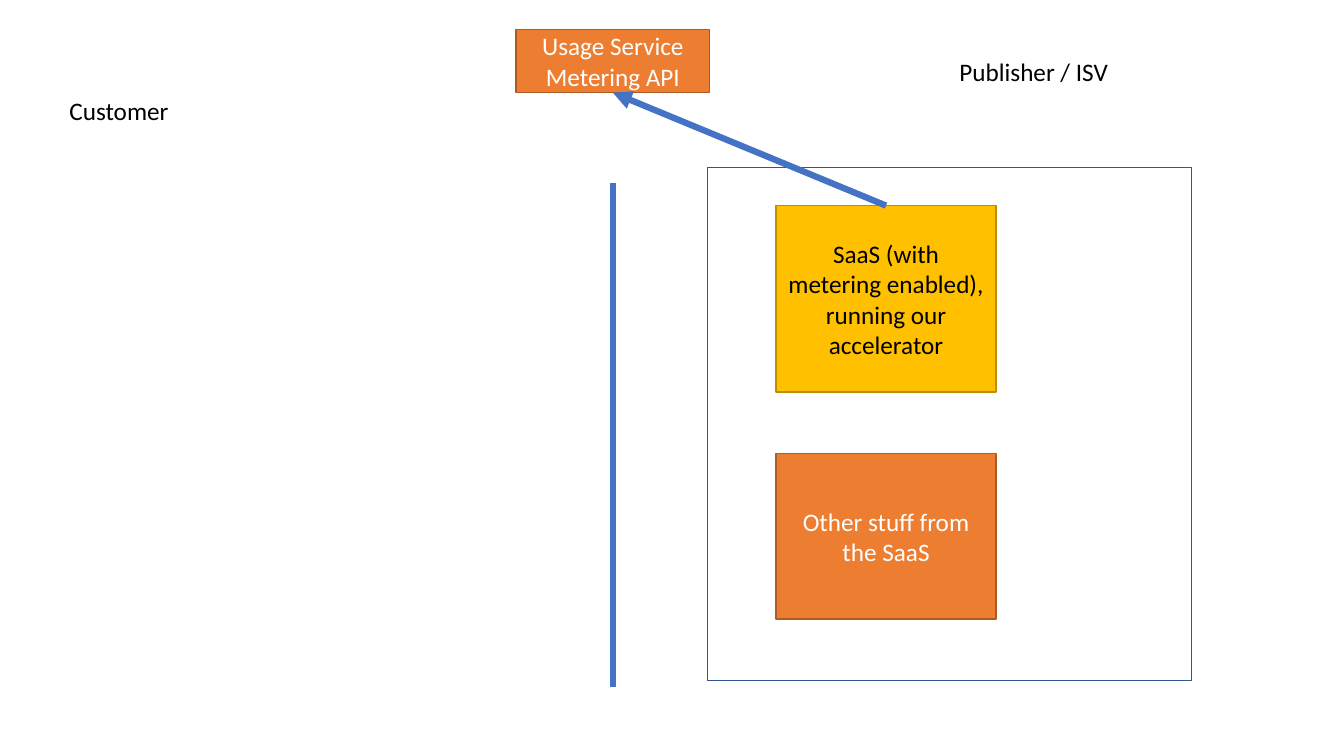
from dataclasses import dataclass

from lxml.etree import SubElement
from pptx import Presentation
from pptx.dml.color import RGBColor
from pptx.enum.shapes import MSO_CONNECTOR, MSO_SHAPE
from pptx.enum.text import MSO_ANCHOR, MSO_AUTO_SIZE, PP_ALIGN
from pptx.oxml.ns import qn
from pptx.util import Inches, Pt

COLORS = {
    "orange": "ED7D31",
    "orange edge": "AF5C24",
    "gold": "FFC000",
    "gold edge": "BD8E00",
    "blue": "4472C4",
    "blue edge": "325491",
    "black": "000000",
    "white": "FFFFFF",
}
CELL = Inches(0.1)
COLUMNS, ROWS = 133.33, 75
TOP_SITE, BOTTOM_SITE = 0, 2


@dataclass
class Box:
    left: float
    top: float
    width: float
    height: float

    def inner(self, left, top, width, height):
        return Box(self.left + left, self.top + top, width, height)

    def lengths(self):
        return [round(side * CELL) for side in (self.left, self.top, self.width, self.height)]


def color(name):
    return RGBColor.from_string(COLORS[name])


def write(frame, text, ink):
    frame.text = text
    for para in frame.paragraphs:
        for span in para.runs:
            span.font.name = "Calibri"
            span.font.size = Pt(18)
            span.font.color.rgb = color(ink)


def add_label(page, box, text):
    frame = page.shapes.add_textbox(*box.lengths()).text_frame
    frame.word_wrap = False
    frame.auto_size = MSO_AUTO_SIZE.SHAPE_TO_FIT_TEXT
    write(frame, text, "black")


def add_block(page, box, edge, fill=None, text="", ink="white"):
    block = page.shapes.add_shape(MSO_SHAPE.RECTANGLE, *box.lengths())
    block.shadow.inherit = False
    block.line.color.rgb = color(edge)
    block.line.width = Pt(1)
    if fill:
        block.fill.solid()
        block.fill.fore_color.rgb = color(fill)
    else:
        block.fill.background()
    if text:
        frame = block.text_frame
        frame.word_wrap = True
        frame.vertical_anchor = MSO_ANCHOR.MIDDLE
        write(frame, text, ink)
        frame.paragraphs[0].alignment = PP_ALIGN.CENTER
    return block


def add_line(page, left=0, top=0, right=0, bottom=0):
    ends = [round(place * CELL) for place in (left, top, right, bottom)]
    line = page.shapes.add_connector(MSO_CONNECTOR.STRAIGHT, *ends)
    line.line.color.rgb = color("blue")
    line.line.width = Pt(4.5)
    SubElement(line._element.spPr, qn("a:effectLst"))
    return line


def add_arrow(page, source, target):
    arrow = add_line(page)
    arrow.begin_connect(source, TOP_SITE)
    arrow.end_connect(target, BOTTOM_SITE)
    SubElement(arrow.line._get_or_add_ln(), qn("a:tailEnd"), type="triangle")


def add_customer_side(page, box):
    add_label(page, box.inner(5.9, 9, 12, 4), "Customer")


def add_boundary(page, box):
    middle = box.left + box.width / 2
    add_line(page, middle, box.top + 18.2, middle, box.top + 68.2)
    return add_block(page, box.inner(0, 2.9, box.width, 6.3),
                     "orange edge", "orange", "Usage Service Metering API")


def add_publisher_side(page, box):
    add_label(page, box.inner(33.4, 5.1, 16.9, 4), "Publisher / ISV")
    panel = box.inner(9.4, 16.6, 48, 50.9)
    add_block(page, panel, "blue edge")
    add_block(page, panel.inner(6.8, 28.4, 21.8, 16.4),
              "orange edge", "orange", "Other stuff from the SaaS")
    return add_block(page, panel.inner(6.8, 3.8, 21.8, 18.5), "gold edge", "gold",
                     "SaaS (with metering enabled), running our accelerator", "black")


deck = Presentation()
deck.slide_width = round(COLUMNS * CELL)
deck.slide_height = ROWS * CELL
page = deck.slides.add_slide(deck.slide_layouts[6])

divide = 60.8
api_width = 19.2
add_customer_side(page, Box(0, 0, divide, ROWS))
metering_api = add_boundary(page, Box(divide - api_width / 2, 0, api_width, ROWS))
metered_saas = add_publisher_side(page, Box(divide, 0, COLUMNS - divide, ROWS))
add_arrow(page, metered_saas, metering_api)

deck.save("out.pptx")
